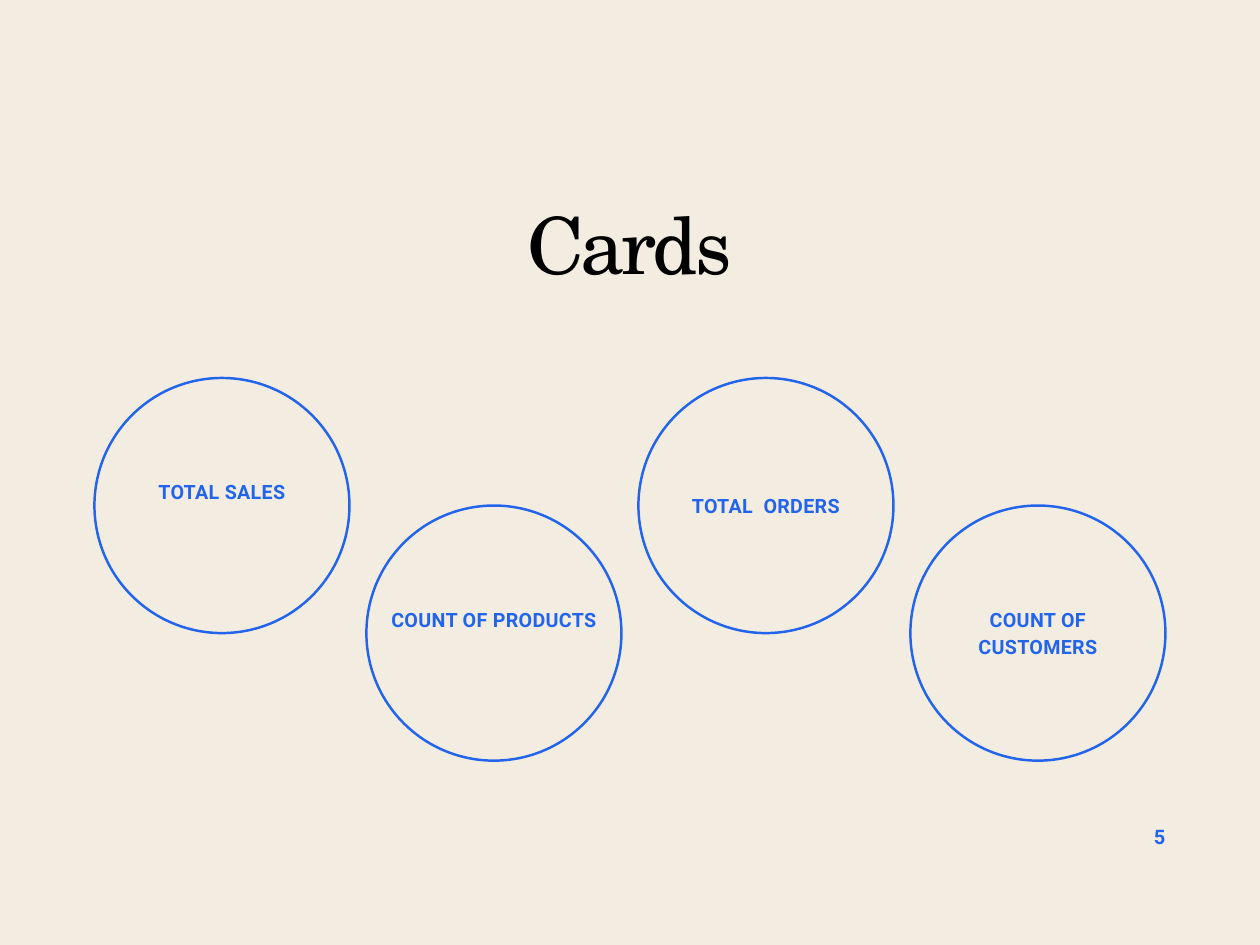
import pptx
import pptx.dml.color
import pptx.enum.shapes
import pptx.enum.text
import pptx.util

Inches = pptx.util.Inches
Pt = pptx.util.Pt
RGBColor = pptx.dml.color.RGBColor
ALIGN = pptx.enum.text.PP_ALIGN

CREAM = RGBColor(0xF3, 0xED, 0xE1)
BLUE = RGBColor(0x22, 0x64, 0xEB)
BLACK = RGBColor(0x00, 0x00, 0x00)

DIAMETER = 2.16
ROW_LEFT, ROW_TOP, ROW_WIDTH = 0.8, 3.2, 9.07
LABEL_WIDTH = 1.83
CARDS = [
    ("TOTAL SALES", 0.83, 0.46),
    ("COUNT OF PRODUCTS", 0.83, 0.46),
    ("TOTAL  ORDERS", 0.95, 0.23),
    ("COUNT OF CUSTOMERS", 0.83, 0.46),
]


def write(sp, text, font, size, color, bold, align, leading, spacing):
    tf = sp.text_frame
    tf.margin_left = tf.margin_top = tf.margin_right = tf.margin_bottom = 0
    tf.word_wrap = True
    tf.auto_size = pptx.enum.text.MSO_AUTO_SIZE.NONE
    tf.vertical_anchor = pptx.enum.text.MSO_ANCHOR.TOP
    p = tf.paragraphs[0]
    p.alignment = align
    p.line_spacing = Pt(leading)
    p.space_before = Pt(0)
    p.font.name = font
    p.font.size = Pt(size)
    p.font.bold = bold
    p.font.color.rgb = color
    r = p.add_run()
    r.text = text
    r._r.get_or_add_rPr().set("spc", str(round(spacing * 100)))


def add_title(s, left, top, width, height):
    sp = s.shapes.title
    sp.left, sp.top = Inches(left), Inches(top)
    sp.width, sp.height = Inches(width), Inches(height)
    write(sp, "Cards", "TeX Gyre Schola", 48, BLACK, False, ALIGN.CENTER, 48, -1.9)


def add_page_number(s, left, top, width, height):
    sp = s.shapes.add_textbox(Inches(left), Inches(top), Inches(width), Inches(height))
    write(sp, "5", "Roboto", 12.2, BLUE, True, ALIGN.RIGHT, 12.2, 1.2)


def add_card(s, left, top, diameter, text, offset, height):
    sp = s.shapes.add_shape(
        pptx.enum.shapes.MSO_SHAPE.OVAL,
        Inches(left), Inches(top), Inches(diameter), Inches(diameter))
    sp.shadow.inherit = False
    sp.fill.background()
    sp.line.color.rgb = BLUE
    sp.line.width = Pt(1.5)
    label = s.shapes.add_textbox(
        Inches(left + (diameter - LABEL_WIDTH) / 2), Inches(top + offset),
        Inches(LABEL_WIDTH), Inches(height))
    write(label, text, "Roboto", 12, BLUE, True, ALIGN.CENTER, 16.8, 0.2)


def add_card_row(s, left, top, width):
    step = (width - DIAMETER) / (len(CARDS) - 1)
    for i, (text, offset, height) in enumerate(CARDS):
        drop = DIAMETER / 2 if i % 2 else 0
        add_card(s, left + i * step, top + drop, DIAMETER, text, offset, height)


def main():
    prs = pptx.Presentation()
    prs.slide_width = Inches(10.67)
    prs.slide_height = Inches(8)
    s = prs.slides.add_slide(prs.slide_layouts[5])
    s.background.fill.solid()
    s.background.fill.fore_color.rgb = CREAM
    add_title(s, 1.6, 1.79, 7.46, 0.71)
    add_page_number(s, 9.16, 7.01, 0.71, 0.19)
    add_card_row(s, ROW_LEFT, ROW_TOP, ROW_WIDTH)
    prs.save("out.pptx")


if __name__ == "__main__":
    main()
